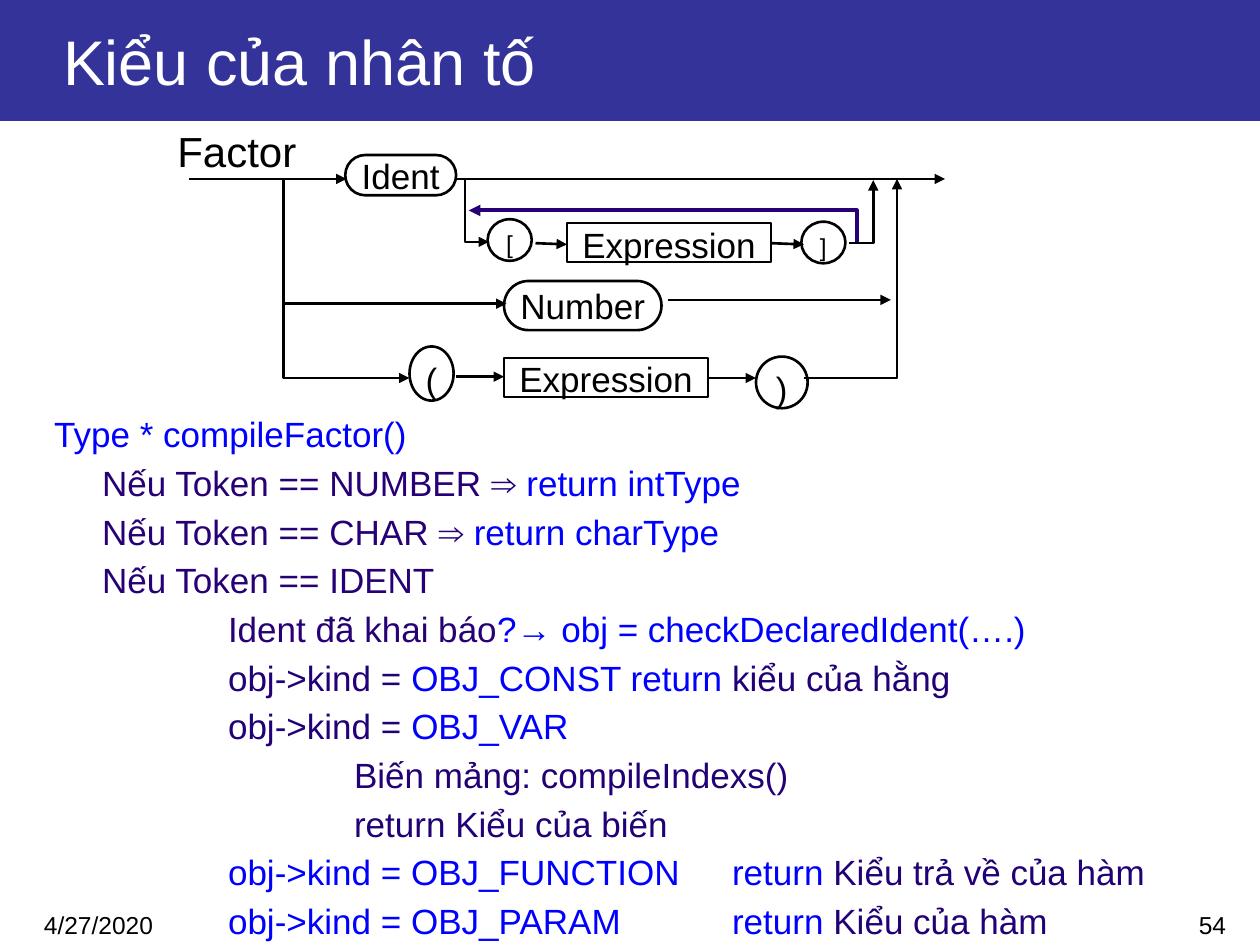
from dataclasses import dataclass

from lxml import etree
from pptx import Presentation
from pptx.dml.color import RGBColor
from pptx.enum.shapes import MSO_CONNECTOR as CONN, MSO_SHAPE as SHAPE
from pptx.enum.text import MSO_ANCHOR as ANCHOR, MSO_AUTO_SIZE as AUTO, PP_ALIGN as ALIGN
from pptx.oxml.ns import qn
from pptx.util import Inches, Pt


@dataclass(frozen=True)
class Theme:
    """Colours, font and type sizes of the slide."""
    font: str = "Arial"
    band: str = "333399"
    white: str = "FFFFFF"
    black: str = "000000"
    blue: str = "0000FF"
    indigo: str = "270076"
    violet: str = "220076"
    title: int = 36
    label: int = 24
    body: int = 20
    small: int = 14


T = Theme()
CODE = [
    [("Type * compileFactor()", T.blue)],
    [("\tNếu Token == NUMBER ⇒ ", T.indigo), ("return intType", T.blue)],
    [("\tNếu Token == CHAR ⇒ ", T.indigo), ("return charType", T.blue)],
    [("\tNếu Token == IDENT", T.indigo)],
    [("\t\tIdent đã khai báo", T.indigo), ("?→ obj = checkDeclaredIdent(….)", T.blue)],
    [("\t\tobj->kind = ", T.violet), ("OBJ_CONST return", T.blue), (" kiểu của hằng", T.violet)],
    [("\t\tobj->kind = ", T.violet), ("OBJ_VAR ", T.blue)],
    [("\t\t\tBiến mảng: compileIndexs()", T.violet)],
    [("\t\t\treturn Kiểu của biến", T.violet)],
    [("\t\tobj->kind = OBJ_FUNCTION\treturn", T.blue), (" Kiểu trả về của hàm", T.violet)],
    [("\t\tobj->kind = OBJ_PARAM\treturn", T.blue), (" Kiểu của hàm", T.violet)],
]
NODES = [
    (SHAPE.ROUNDED_RECTANGLE, "Ident", (1.49, 0.23, 0.88, 0.32), T.body),
    (SHAPE.OVAL, "[", (2.62, 0.74, 0.35, 0.33), T.small),
    (SHAPE.RECTANGLE, "Expression", (3.25, 0.77, 1.62, 0.31), T.body),
    (SHAPE.OVAL, "]", (5.11, 0.76, 0.35, 0.33), T.small),
    (SHAPE.ROUNDED_RECTANGLE, "Number", (2.75, 1.23, 1.25, 0.39), T.body),
    (SHAPE.OVAL, "(", (2, 1.75, 0.35, 0.43), T.body),
    (SHAPE.RECTANGLE, "Expression", (2.75, 1.84, 1.62, 0.31), T.body),
    (SHAPE.OVAL, ")", (4.75, 1.83, 0.41, 0.41), T.body),
]
INSETS = {
    SHAPE.ROUNDED_RECTANGLE: (0.01, 0, 0.01, 0),
    SHAPE.OVAL: (0.06, 0.03, 0.06, 0.03),
    SHAPE.RECTANGLE: (0.07, 0, 0.07, 0),
}
ARROWS = [
    [(0.25, 0.42), (1.5, 0.42)],
    [(2.37, 0.42), (6.25, 0.42)],
    [(3, 0.93), (3.25, 0.94)],
    [(4.87, 0.93), (5.13, 0.94)],
    [(1, 1.41), (2.77, 1.41)],
    [(4.05, 1.38), (5.82, 1.38)],
    [(2.37, 1.99), (2.75, 1.99)],
    [(4.37, 2), (4.75, 2)],
    [(1, 0.42), (1, 2), (2, 2)],
    [(5.13, 2), (5.87, 2), (5.87, 0.42)],
    [(2.44, 0.42), (2.44, 0.92), (2.63, 0.92)],
    [(5.49, 0.93), (5.68, 0.93), (5.68, 0.43)],
]
LOOP = [(5.55, 0.92), (5.55, 0.67), (2.47, 0.67)]


def rgb(color):
    """Turn a hex string into a colour."""
    return RGBColor.from_string(color)


def write(tf, lines, size=T.body, color=T.black, align=ALIGN.LEFT, anchor=ANCHOR.TOP,
          insets=(0.1, 0.05, 0.1, 0.05), wrap=True):
    """Fill a text frame with lines of (text, colour) runs, or one string."""
    tf.word_wrap, tf.auto_size, tf.vertical_anchor = wrap, AUTO.NONE, anchor
    tf.margin_left, tf.margin_top, tf.margin_right, tf.margin_bottom = map(Inches, insets)
    lines = [[(lines, color)]] if isinstance(lines, str) else lines
    for i, runs in enumerate(lines):
        p = tf.add_paragraph() if i else tf.paragraphs[0]
        p.alignment = align
        for text, run_color in runs:
            r = p.add_run()
            r.text = text
            r.font.name, r.font.size = T.font, Pt(size)
            r.font.color.rgb = rgb(run_color)


def place(sp, box):
    """Move and size a shape to a box in inches."""
    sp.left, sp.top, sp.width, sp.height = map(Inches, box)


def label(s, text, box, **fmt):
    """Add a text box."""
    write(s.shapes.add_textbox(*map(Inches, box)).text_frame, text, **fmt)


def node(s, kind, text, box, size):
    """Add an outlined diagram symbol with its text."""
    sp = s.shapes.add_shape(kind, *map(Inches, box))
    sp.shadow.inherit = False
    sp.fill.background()
    sp.line.color.rgb, sp.line.width = rgb(T.black), Pt(1.5)
    rounded = kind == SHAPE.ROUNDED_RECTANGLE
    if rounded:
        sp.adjustments[0] = 0.5
    write(sp.text_frame, text, size=size, align=ALIGN.CENTER, insets=INSETS[kind],
          anchor=ANCHOR.MIDDLE if rounded else ANCHOR.TOP, wrap=False)


def arrow(s, points, color=T.black, width=1.5):
    """Draw a straight or bent arrow through points in inches."""
    pts = [(Inches(x), Inches(y)) for x, y in points]
    if len(pts) == 2:
        sp = s.shapes.add_connector(CONN.STRAIGHT, *pts[0], *pts[1])
        etree.SubElement(sp._element.spPr, qn("a:effectLst"))
    else:
        path = s.shapes.build_freeform(*pts[0])
        path.add_line_segments(pts[1:], close=False)
        sp = path.convert_to_shape()
        sp.shadow.inherit = False
        sp.fill.background()
    sp.line.color.rgb, sp.line.width = rgb(color), Pt(width)
    etree.SubElement(sp.line._get_or_add_ln(), qn("a:tailEnd"), type="triangle")


def title_band(s, box):
    """Format the title placeholder as a filled band."""
    sp = s.shapes.title
    place(sp, box)
    sp.fill.solid()
    sp.fill.fore_color.rgb = rgb(T.band)
    write(sp.text_frame, "Kiểu của nhân tố", size=T.title, color=T.white,
          anchor=ANCHOR.MIDDLE, insets=(0.5, 0.05, 0.1, 0.05))


def code_list(s, box):
    """Fill the body placeholder with the pseudo-code."""
    sp = s.placeholders[1]
    place(sp, box)
    write(sp.text_frame, CODE)
    for p in sp.text_frame.paragraphs:
        p.line_spacing, p.space_before = 0.95, Pt(5)
        pPr = p._p.get_or_add_pPr()
        for name, value in (("marL", 0.38), ("indent", -0.38), ("defTabSz", 1)):
            pPr.set(name, str(Inches(value)))
        etree.SubElement(pPr, qn("a:buNone"))


def syntax_diagram(s, left, top):
    """Draw the syntax diagram from its top left corner."""
    def shift(points):
        return [(left + x, top + y) for x, y in points]

    label(s, "Factor", (left, top, 1.26, 0.4), size=T.label, align=ALIGN.CENTER,
          insets=(0, 0, 0, 0))
    for kind, text, (x, y, w, h), size in NODES:
        node(s, kind, text, (left + x, top + y, w, h), size)
    for points in ARROWS:
        arrow(s, shift(points))
    arrow(s, shift(LOOP), color=T.indigo, width=2.25)


def footer(s, top):
    """Add the date and the slide number."""
    label(s, "4/27/2020", (0.25, top, 1.92, 0.33), size=T.small)
    label(s, "54", (7.75, top, 2.08, 0.24), size=T.small, align=ALIGN.RIGHT)


def main():
    """Build and save the slide."""
    prs = Presentation()
    prs.slide_width, prs.slide_height = Inches(10), Inches(7.5)
    s = prs.slides.add_slide(prs.slide_layouts[1])
    title_band(s, (0, 0, 10, 0.96))
    code_list(s, (0.33, 3.25, 9.17, 4.17))
    syntax_diagram(s, 1.25, 1)
    footer(s, 7.17)
    prs.save("out.pptx")


main()
